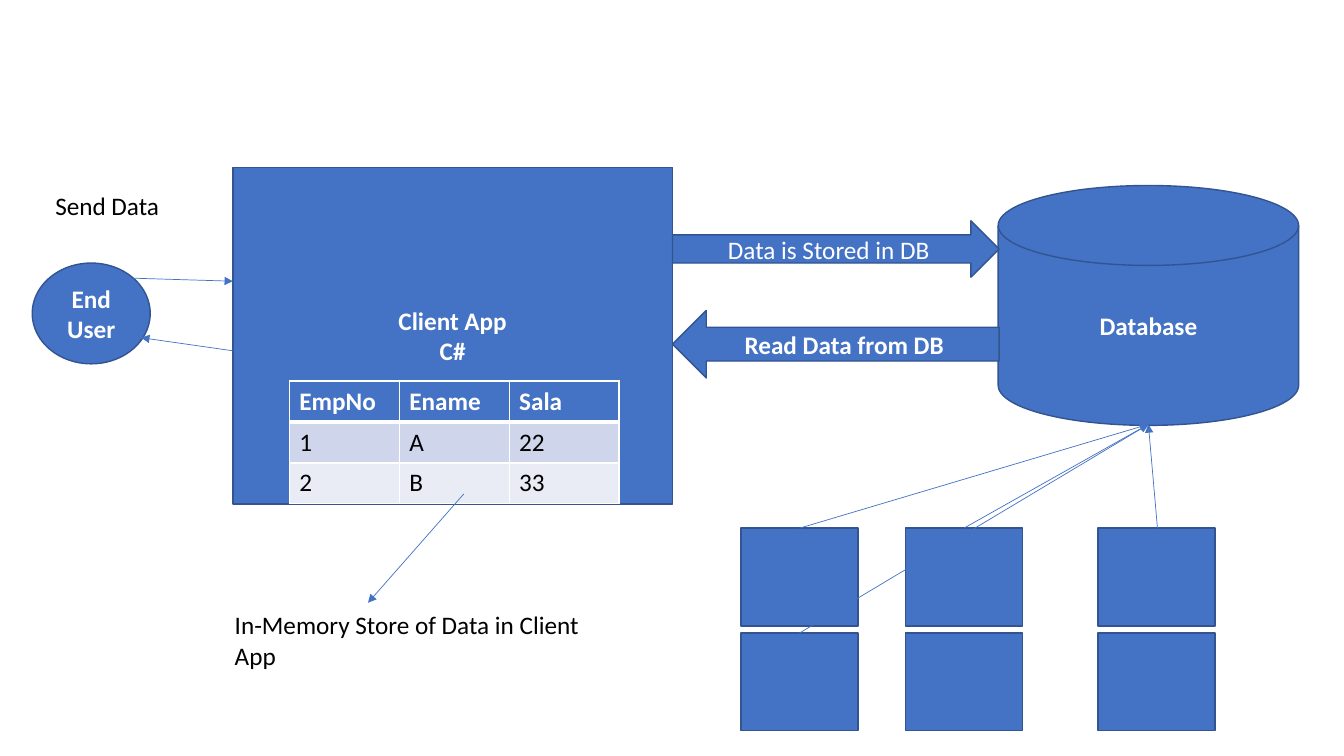
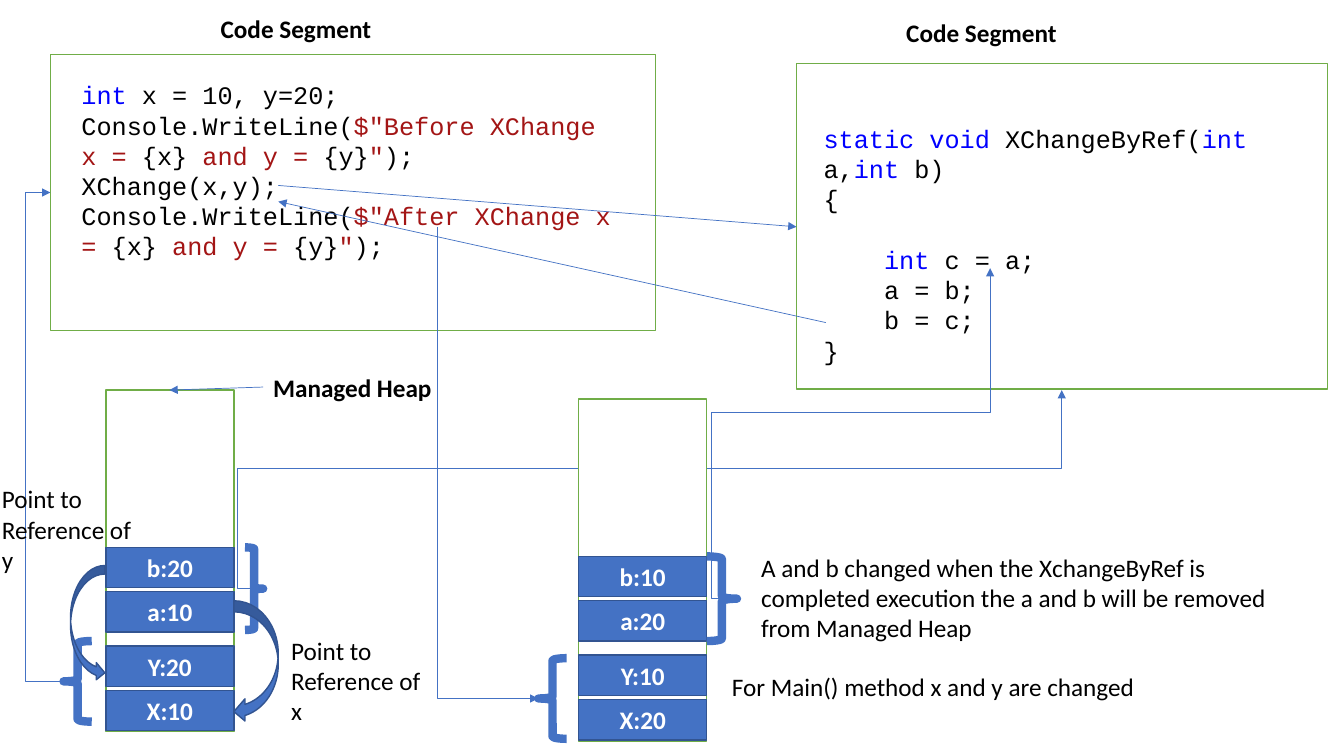
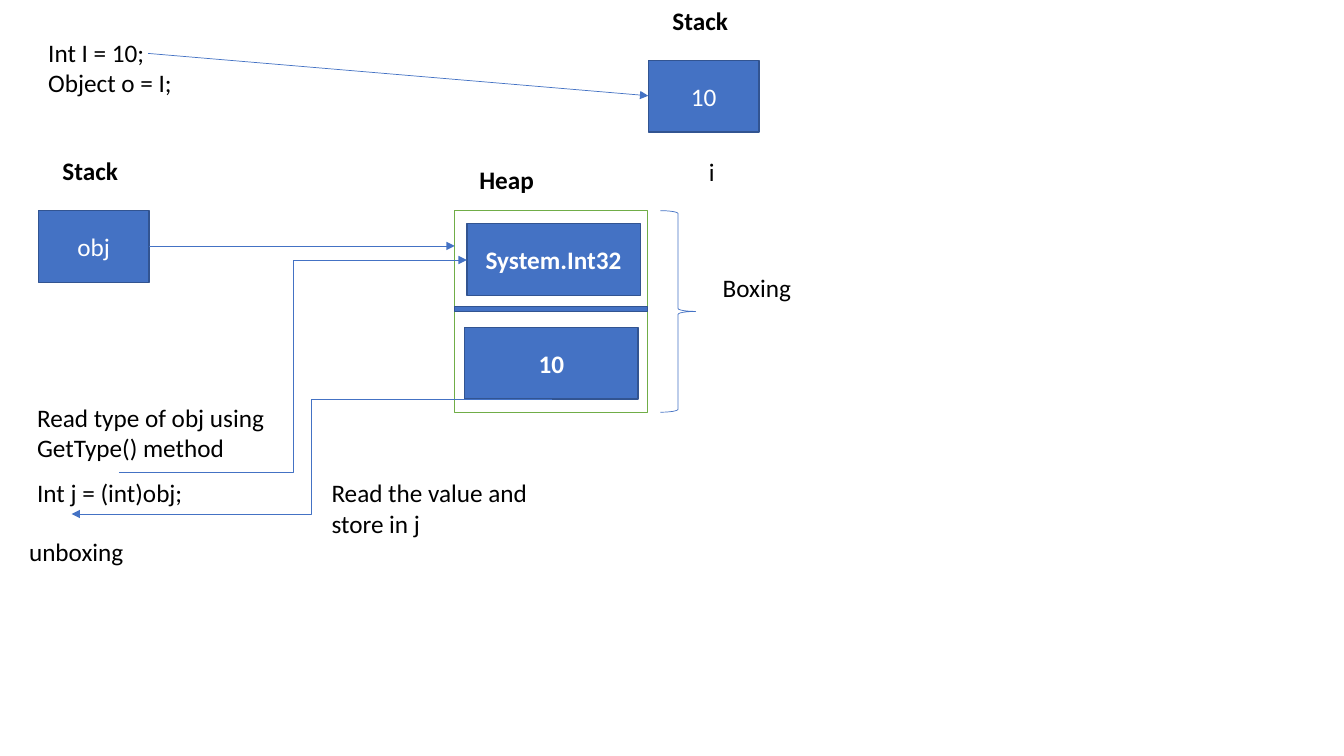
from dataclasses import dataclass

from lxml.etree import SubElement
from pptx import Presentation
from pptx.dml.color import RGBColor
from pptx.enum.shapes import MSO_CONNECTOR, MSO_SHAPE
from pptx.enum.text import MSO_ANCHOR, MSO_AUTO_SIZE, PP_ALIGN
from pptx.oxml.ns import qn
from pptx.shapes.connector import Connector
from pptx.slide import Slide
from pptx.table import _Cell
from pptx.text.text import TextFrame
from pptx.util import Inches, Pt

# Shared style
BLUE = RGBColor(0x44, 0x72, 0xC4)
NAVY = RGBColor(0x32, 0x54, 0x91)
GREEN = RGBColor(0x70, 0xAD, 0x47)
WHITE = RGBColor(0xFF, 0xFF, 0xFF)
BLACK = RGBColor(0x00, 0x00, 0x00)
KEYWORD = RGBColor(0x00, 0x00, 0xFF)
STRING = RGBColor(0xA3, 0x15, 0x15)
HEADER_FILL, ODD_FILL, EVEN_FILL = BLUE, RGBColor(0xCF, 0xD5, 0xEA), RGBColor(0xE9, 0xEB, 0xF5)
BODY_FONT, CODE_FONT = "Calibri", "Courier New"
TEXT_SIZE = Pt(18)
CODE_INDENT = Inches(0.6)
CODE_GAP = Pt(21.8)


@dataclass(frozen=True)
class Span:
    text: str
    color: RGBColor = BLACK
    bold: bool = False
    font: str = BODY_FONT


@dataclass(frozen=True)
class Para:
    spans: tuple[Span, ...]
    align: PP_ALIGN = PP_ALIGN.LEFT
    indented: bool = False
    gap_before: bool = False


@dataclass(frozen=True)
class Node:
    left: float
    top: float
    width: float
    height: float
    lines: tuple[str, ...] = ()
    bold: bool = True
    preset: MSO_SHAPE = MSO_SHAPE.RECTANGLE
    fill: RGBColor | None = BLUE
    outline: RGBColor = NAVY
    weight: float = 1


@dataclass(frozen=True)
class Label:
    left: float
    top: float
    width: float
    height: float
    lines: tuple[str, ...]
    bold: bool = False
    align: PP_ALIGN = PP_ALIGN.LEFT


@dataclass(frozen=True)
class Arrow:
    start: tuple[float, float]
    end: tuple[float, float]


@dataclass(frozen=True)
class Elbow:
    left: float
    top: float
    width: float
    height: float
    preset: str = "bentConnector3"
    rotation: int = 0
    flip: str = ""
    bends: tuple[float, ...] = ()


# Text
def write(frame: TextFrame, paras: list[Para]) -> None:
    frame.word_wrap = True
    for index, content in enumerate(paras):
        para = frame.paragraphs[0] if index == 0 else frame.add_paragraph()
        para.alignment = content.align
        if content.indented:
            para._p.get_or_add_pPr().set("marL", str(CODE_INDENT))
        if content.gap_before:
            para.space_before = CODE_GAP
        for span in content.spans:
            run = para.add_run()
            run.text = span.text
            run.font.name = span.font
            run.font.size = TEXT_SIZE
            run.font.bold = span.bold
            run.font.color.rgb = span.color


def add_text(page: Slide, left: float, top: float, width: float, height: float,
             paras: list[Para]) -> None:
    box = page.shapes.add_textbox(Inches(left), Inches(top), Inches(width), Inches(height))
    write(box.text_frame, paras)
    box.text_frame.auto_size = MSO_AUTO_SIZE.SHAPE_TO_FIT_TEXT


def add_label(page: Slide, label: Label) -> None:
    paras = [Para((Span(line, bold=label.bold),), label.align) for line in label.lines]
    add_text(page, label.left, label.top, label.width, label.height, paras)


def code(*parts: str | tuple[str, RGBColor], indented: bool = False,
         gap_before: bool = False) -> Para:
    pairs = [(part, BLACK) if isinstance(part, str) else part for part in parts]
    spans = tuple(Span(text, color, font=CODE_FONT) for text, color in pairs)
    return Para(spans, indented=indented, gap_before=gap_before)


def write_line_call(moment: str) -> Para:
    return code("Console.WriteLine(", (f'$"{moment} XChange x = ', STRING), "{x}",
                (" and y = ", STRING), "{y}", ('"', STRING), ");")


# Shapes
def add_node(page: Slide, node: Node) -> None:
    shape = page.shapes.add_shape(node.preset, Inches(node.left), Inches(node.top),
                                  Inches(node.width), Inches(node.height))
    shape.shadow.inherit = False
    if node.fill is None:
        shape.fill.background()
    else:
        shape.fill.solid()
        shape.fill.fore_color.rgb = node.fill
    shape.line.color.rgb = node.outline
    shape.line.width = Pt(node.weight)
    if node.lines:
        shape.text_frame.vertical_anchor = MSO_ANCHOR.MIDDLE
        write(shape.text_frame, [Para((Span(line, WHITE, node.bold),), PP_ALIGN.CENTER)
                                 for line in node.lines])


def add_frame(page: Slide, left: float, top: float, width: float, height: float) -> None:
    add_node(page, Node(left, top, width, height, fill=WHITE, outline=GREEN))


def add_brace(page: Slide, preset: MSO_SHAPE, left: float, top: float, width: float,
              height: float, weight: float = 6) -> None:
    add_node(page, Node(left, top, width, height, preset=preset, fill=None,
                        outline=BLUE, weight=weight))


# Connectors
def finish_connector(connector: Connector) -> None:
    connector.line.color.rgb = BLUE
    connector.line.width = Pt(0.5)
    properties = connector.element.spPr
    SubElement(properties.find(qn("a:ln")), qn("a:tailEnd"), type="triangle")
    SubElement(properties, qn("a:effectLst"))


def add_arrow(page: Slide, arrow: Arrow) -> None:
    ends = [Inches(value) for value in (*arrow.start, *arrow.end)]
    finish_connector(page.shapes.add_connector(MSO_CONNECTOR.STRAIGHT, *ends))


def add_elbow(page: Slide, elbow: Elbow) -> None:
    connector = page.shapes.add_connector(
        MSO_CONNECTOR.ELBOW, Inches(elbow.left), Inches(elbow.top),
        Inches(elbow.left + elbow.width), Inches(elbow.top + elbow.height))
    transform = connector.element.spPr.find(qn("a:xfrm"))
    transform.set("rot", str(elbow.rotation * 60000))
    if elbow.flip:
        transform.set(f"flip{elbow.flip}", "1")
    geometry = connector.element.spPr.find(qn("a:prstGeom"))
    geometry.set("prst", elbow.preset)
    for number, bend in enumerate(elbow.bends, start=1):
        SubElement(geometry.find(qn("a:avLst")), qn("a:gd"), name=f"adj{number}",
                   fmla=f"val {round(bend * 100000)}")
    finish_connector(connector)


# Table
def style_cell(cell: _Cell, fill: RGBColor, text: str, header: bool) -> None:
    properties = cell._tc.get_or_add_tcPr()
    for side in ("lnL", "lnR", "lnT", "lnB"):
        weight = Pt(3) if header and side == "lnB" else Pt(1)
        border = SubElement(properties, qn(f"a:{side}"), w=str(weight))
        SubElement(SubElement(border, qn("a:solidFill")), qn("a:srgbClr"), val=str(WHITE))
    cell.fill.solid()
    cell.fill.fore_color.rgb = fill
    write(cell.text_frame, [Para((Span(text, WHITE if header else BLACK, header),))])


def add_employee_table(page: Slide) -> None:
    rows = [("EmpNo", "Ename", "Sala"), ("1", "A", "22"), ("2", "B", "33")]
    table = page.shapes.add_table(3, 3, Inches(2.87), Inches(3.78),
                                  Inches(3.27), Inches(1.22)).table
    for row_index, (values, fill) in enumerate(zip(rows, (HEADER_FILL, ODD_FILL, EVEN_FILL))):
        for column_index, value in enumerate(values):
            style_cell(table.cell(row_index, column_index), fill, value, row_index == 0)


# Slide 1: client application and database
def build_data_flow(page: Slide) -> None:
    for node in (
        Node(9.9, 1.84, 2.98, 2.38, ("Database",), preset=MSO_SHAPE.FLOWCHART_MAGNETIC_DISK),
        Node(2.31, 1.66, 4.36, 3.34, ("Client App", "C#")),
        Node(0.32, 2.61, 1.17, 1, ("End", "User"), preset=MSO_SHAPE.OVAL),
        Node(6.67, 2.19, 3.24, 0.56, ("Data is Stored in DB",), False, MSO_SHAPE.RIGHT_ARROW),
        Node(6.67, 3.08, 3.24, 0.67, ("Read Data from DB",), preset=MSO_SHAPE.LEFT_ARROW),
    ):
        add_node(page, node)
    add_label(page, Label(0.45, 1.84, 1.3, 0.4, ("Send Data",)))
    add_arrow(page, Arrow((1.32, 2.76), (2.31, 2.79)))
    add_arrow(page, Arrow((2.31, 3.48), (1.4, 3.35)))

    for top in (5.24, 6.28):
        for left in (7.35, 8.98, 10.89):
            add_node(page, Node(left, top, 1.16, 0.97))
    for start in ((7.93, 5.24), (9.56, 5.24), (11.48, 5.24), (7.93, 6.28)):
        add_arrow(page, Arrow(start, (11.39, 4.21)))

    add_employee_table(page)
    add_arrow(page, Arrow((4.6, 4.9), (3.65, 5.98)))
    add_label(page, Label(2.23, 6, 3.76, 0.71, ("In-Memory Store of Data in Client App",)))


# Slide 2: exchanging values on the managed heap
def add_heap(page: Slide, left: float, top: float, values: tuple[str, ...]) -> None:
    add_frame(page, left, top, 1.27, 3.39)
    for offset, value in zip((1.56, 2, 2.54, 2.98), values):
        add_node(page, Node(left, top + offset, 1.27, 0.4, (value,)))


def build_exchange(page: Slide) -> None:
    # Code segments
    add_frame(page, 7.9, 0.63, 5.27, 3.23)
    add_frame(page, 0.5, 0.54, 6, 2.74)
    for left, top in ((7.93, 0.12), (1.13, 0.08)):
        add_label(page, Label(left, top, 3.61, 0.42, ("Code Segment",), True, PP_ALIGN.CENTER))
    add_text(page, 8.07, 1.17, 4.95, 2.52, [
        code(("static void ", KEYWORD), "XChangeByRef(", ("int ", KEYWORD), "a,",
             ("int", KEYWORD), " b)"),
        code("{"),
        code(("int", KEYWORD), " c = a;", indented=True, gap_before=True),
        code("a = b;", indented=True),
        code("b = c;", indented=True),
        code("}"),
    ])
    add_text(page, 0.71, 0.74, 5.57, 1.92, [
        code(("int", KEYWORD), " x = 10, y=20;"),
        write_line_call("Before"),
        code("XChange(x,y);"),
        write_line_call("After"),
    ])

    # Heap before the exchange
    add_heap(page, 1.05, 3.87, ("b:20", "a:10", "Y:20", "X:10"))
    add_label(page, Label(2.61, 3.64, 3.51, 0.4, ("Managed Heap",), True))
    add_arrow(page, Arrow((2.61, 3.84), (1.68, 3.87)))
    add_brace(page, MSO_SHAPE.LEFT_BRACE, 0.63, 6.36, 0.28, 0.8)
    add_elbow(page, Elbow(0.5, 1.91, 0.13, 4.85, rotation=180, bends=(2.885,)))
    add_arrow(page, Arrow((2.76, 1.84), (7.9, 2.25)))
    add_brace(page, MSO_SHAPE.RIGHT_BRACE, 2.43, 5.43, 0.18, 0.82)
    add_elbow(page, Elbow(2.61, 3.87, 7.92, 1.97, "bentConnector4", 180, "H", (-0.032, 0.604)))

    # Heap after the exchange
    add_heap(page, 5.74, 3.96, ("b:10", "a:20", "Y:10", "X:20"))
    add_brace(page, MSO_SHAPE.RIGHT_BRACE, 7.01, 5.52, 0.3, 0.84)
    add_elbow(page, Elbow(7.31, 2.66, 2.51, 3.28, "bentConnector4", 180, "H", (-0.1, 0.564)))
    add_arrow(page, Arrow((8.19, 3.2), (2.76, 2)))
    add_brace(page, MSO_SHAPE.LEFT_BRACE, 5.34, 6.53, 0.28, 0.8)
    add_elbow(page, Elbow(2.5, 4.09, 4.68, 1, "bentConnector2", 270, "H"))

    # References and remarks
    add_node(page, Node(2.32, 5.96, 0.44, 1.21, preset=MSO_SHAPE.CURVED_LEFT_ARROW))
    add_node(page, Node(0.7, 5.61, 0.34, 1.15, preset=MSO_SHAPE.CURVED_RIGHT_ARROW))
    for label in (
        Label(7.45, 5.43, 5.38, 1.01, ("A and b changed when the XchangeByRef is completed "
                                       "execution the a and b will be removed from Managed Heap ",)),
        Label(7.16, 6.61, 4.3, 0.4, ("For Main() method x and y are changed",)),
        Label(2.79, 6.25, 1.57, 1.01, ("Point to Reference of x",)),
        Label(-0.08, 4.75, 1.57, 1.01, ("Point to Reference of y",)),
    ):
        add_label(page, label)


# Slide 3: boxing and unboxing
def build_boxing(page: Slide) -> None:
    add_frame(page, 4.51, 2.09, 1.91, 2)
    for node in (
        Node(6.43, 0.6, 1.1, 0.71, ("10",), False),
        Node(0.38, 2.09, 1.1, 0.71, ("obj",), False),
        Node(4.51, 3.04, 1.91, 0.05),
        Node(4.63, 2.22, 1.72, 0.71, ("System.Int32",)),
        Node(4.61, 3.25, 1.72, 0.71, ("10",)),
    ):
        add_node(page, node)
    add_brace(page, MSO_SHAPE.RIGHT_BRACE, 6.55, 2.09, 0.35, 2, weight=0.5)

    for left, top, heading in ((6.43, 0, "Stack"), (0.38, 1.49, "Stack"), (4.51, 1.58, "Heap")):
        add_label(page, Label(left, top, 1.03, 0.4, (heading,), True, PP_ALIGN.CENTER))
    for label in (
        Label(0.38, 0.32, 1.62, 0.71, ("Int I = 10;", "Object o = I;")),
        Label(6.43, 1.5, 1.26, 0.4, ("i",), align=PP_ALIGN.CENTER),
        Label(7.07, 2.65, 1.74, 0.4, ("Boxing",)),
        Label(0.27, 4.69, 2.24, 0.4, ("Int j = (int)obj;",)),
        Label(0.19, 5.27, 2, 0.4, ("unboxing",)),
        Label(0.27, 3.94, 3.34, 0.71, ("Read type of obj using GetType() method",)),
        Label(3.19, 4.69, 2.24, 0.71, ("Read the value and store in j",)),
    ):
        add_label(page, label)

    add_arrow(page, Arrow((1.47, 0.53), (6.43, 0.95)))
    add_arrow(page, Arrow((1.48, 2.44), (4.51, 2.44)))
    add_elbow(page, Elbow(1.18, 2.58, 3.45, 2.11, flip="V"))
    add_elbow(page, Elbow(0.71, 3.96, 4.76, 1.14, rotation=180, flip="V"))


# Deck
deck = Presentation()
deck.slide_width, deck.slide_height = Inches(13.33), Inches(7.5)
for build in (build_data_flow, build_exchange, build_boxing):
    build(deck.slides.add_slide(deck.slide_layouts[6]))
deck.save("out.pptx")
